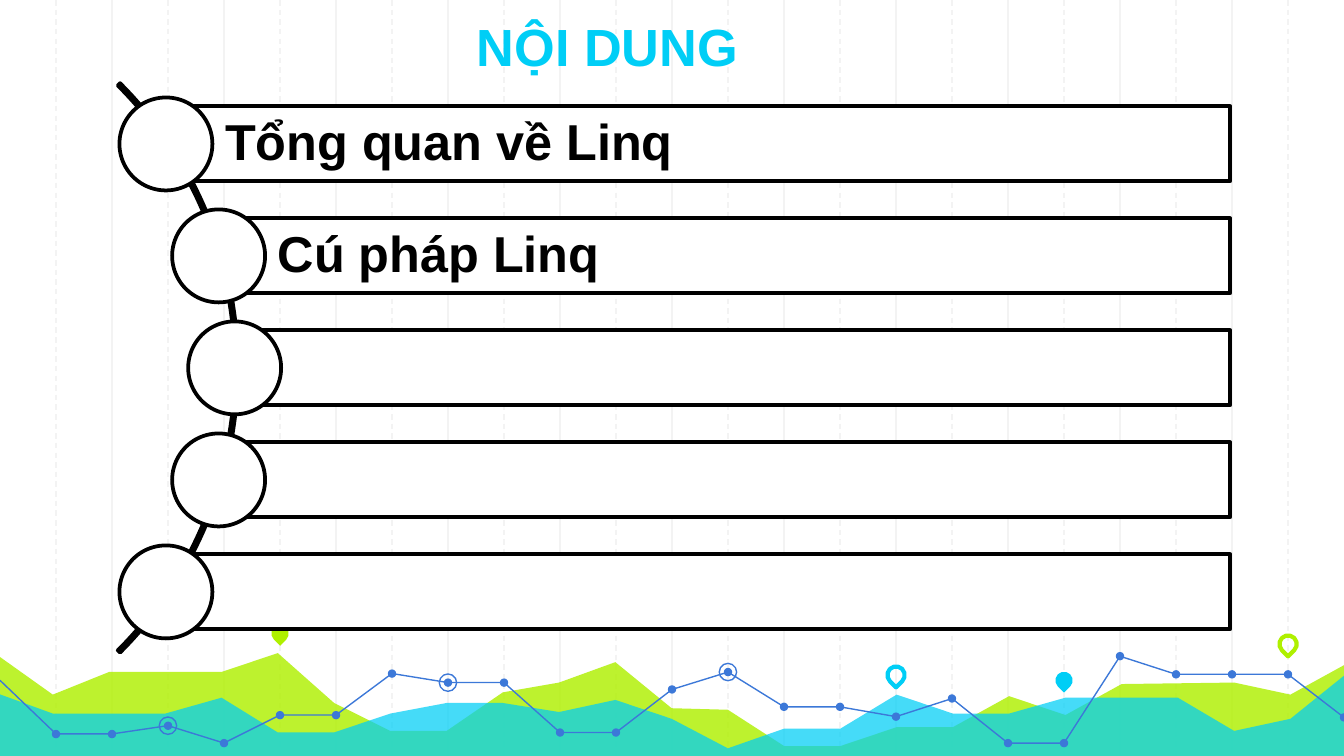
from dataclasses import dataclass
from math import sqrt

from pptx import Presentation
from pptx.dml.color import RGBColor
from pptx.enum.dml import MSO_LINE
from pptx.enum.shapes import MSO_CONNECTOR, MSO_SHAPE
from pptx.enum.text import MSO_ANCHOR, PP_ALIGN
from pptx.oxml.ns import qn
from pptx.util import Inches, Pt
from lxml.etree import SubElement

COLUMNS = 24
SLIDE_WIDTH = 10
CELL = SLIDE_WIDTH / COLUMNS
ROWS = COLUMNS * 9 / 16


@dataclass(frozen=True)
class Theme:
    font: str = "Arial"
    title_size: float = 28
    item_size: float = 27
    thin: float = 0.75
    outline: float = 2
    pin_outline: float = 2.25
    white: str = "FFFFFF"
    black: str = "000000"
    grid: str = "F3F3F3"
    lime: str = "AFF000"
    cyan: str = "00CEF6"
    blue: str = "3C78D8"


@dataclass(frozen=True)
class Box:
    left: float
    top: float
    width: float
    height: float

    def across(self, column):
        return self.left + self.width * column / COLUMNS

    def down(self, percent):
        return self.top + self.height * percent / 100


THEME = Theme()

LIME_LEVELS = [86.6, 91.9, 88.9, 88.9, 88.9, 86.4, 93, 96.7, 96.7, 91.6, 90.3, 87.6, 93.7,
               93.9, 98.7, 98.7, 96.2, 96.2, 92.1, 94.6, 90.5, 90.4, 90.3, 91.9, 87.8]
CYAN_LEVELS = [91.7, 94.4, 94.4, 94.4, 92.3, 96.9, 96.9, 94.4, 93, 93, 94.2, 92.6, 95.1,
               99, 96.4, 96.4, 91.9, 94.4, 94.4, 92.3, 92.3, 92.3, 96.7, 95.1, 89.1]
TREND_LEVELS = [90, 97.1, 97.1, 96, 98.3, 94.6, 94.6, 89.1, 90.3, 90.3, 96.9, 96.9, 91.2,
                88.9, 93.5, 93.5, 94.8, 92.4, 98.3, 98.3, 86.8, 89.2, 89.2, 89.2, 94.9]
TREND_BREAKS = [0, 11, 20, 24]
RING_COLUMNS = [8, 3, 13]
PINS = [(5, 83.8, THEME.lime, True), (16, 89.3, THEME.cyan, False),
        (19, 90, THEME.cyan, True), (23, 85.2, THEME.lime, False)]
ITEMS = ["Tổng quan về Linq", "Cú pháp Linq", "", "", ""]


def cells(count):
    return Inches(count * CELL)


def color(value):
    return RGBColor.from_string(value)


def style(shape, fill=None, line=None, line_width=THEME.outline, opacity=None):
    shape.shadow.inherit = False
    if fill:
        shape.fill.solid()
        shape.fill.fore_color.rgb = color(fill)
        if opacity:
            solid_color = shape.fill._xPr.find(qn("a:solidFill"))[0]
            SubElement(solid_color, qn("a:alpha")).set("val", str(opacity * 1000))
    else:
        shape.fill.background()
    if line:
        shape.line.color.rgb = color(line)
        shape.line.width = Pt(line_width)
    else:
        shape.line.fill.background()


def add_centered(slide, kind, x, y, size, **look):
    shape = slide.shapes.add_shape(kind, cells(x - size / 2), cells(y - size / 2),
                                   cells(size), cells(size))
    style(shape, **look)
    return shape


def add_outline(slide, points, close, **look):
    corners = [(cells(x), cells(y)) for x, y in points]
    builder = slide.shapes.build_freeform(*corners[0], scale=1.0)
    builder.add_line_segments(corners[1:], close=close)
    style(builder.convert_to_shape(), **look)


def write_text(shape, text, size, text_color, anchor):
    frame = shape.text_frame
    frame.text = text
    frame.word_wrap = True
    frame.vertical_anchor = anchor
    paragraph = frame.paragraphs[0]
    paragraph.alignment = PP_ALIGN.LEFT
    for run in paragraph.runs:
        run.font.name = THEME.font
        run.font.size = Pt(size)
        run.font.bold = True
        run.font.color.rgb = color(text_color)
    return frame


def draw_grid(slide, box):
    for first, dash in ((2, MSO_LINE.SOLID), (1, MSO_LINE.DASH)):
        for column in range(first, COLUMNS, 2):
            x = cells(box.across(column))
            line = slide.shapes.add_connector(MSO_CONNECTOR.STRAIGHT, x, cells(box.top),
                                              x, cells(box.down(100)))
            line.line.color.rgb = color(THEME.grid)
            line.line.width = Pt(THEME.thin)
            line.line.dash_style = dash
            SubElement(line._element.spPr, qn("a:effectLst"))


def draw_landscape(slide, box):
    for levels, fill, opacity in ((LIME_LEVELS, THEME.lime, 82), (CYAN_LEVELS, THEME.cyan, 73)):
        ridge = [(box.across(column), box.down(level)) for column, level in enumerate(levels)]
        base = [(box.across(COLUMNS), box.down(100.4)), (box.left, box.down(100.4))]
        add_outline(slide, ridge + base, True, fill=fill, opacity=opacity)


def draw_pins(slide, box):
    for column, level, tint, filled in PINS:
        look = {"fill": tint} if filled else {"line": tint, "line_width": THEME.pin_outline}
        pin = add_centered(slide, MSO_SHAPE.TEAR, box.across(column), box.down(level), 0.31, **look)
        pin.rotation = 135


def draw_trend(slide, box):
    points = [(box.across(column), box.down(level)) for column, level in enumerate(TREND_LEVELS)]
    for start, end in zip(TREND_BREAKS, TREND_BREAKS[1:]):
        add_outline(slide, points[start:end + 1], False, line=THEME.blue, line_width=THEME.thin)
    for x, y in points[1:]:
        add_centered(slide, MSO_SHAPE.OVAL, x, y, 0.15, fill=THEME.blue)
    for column in RING_COLUMNS:
        add_centered(slide, MSO_SHAPE.OVAL, *points[column], 0.31,
                     line=THEME.blue, line_width=THEME.thin)


def draw_title(slide, box, text):
    title = slide.shapes.add_textbox(cells(box.left), cells(box.top),
                                     cells(box.width), cells(box.height))
    frame = write_text(title, text, THEME.title_size, THEME.cyan, MSO_ANCHOR.BOTTOM)
    frame.margin_left = frame.margin_right = frame.margin_top = frame.margin_bottom = Inches(0.1)


def draw_agenda(slide, box, items):
    center_x, center_y = -2.94, box.down(50)
    node_radius, bar_height, node_size = 7.13, 1.34, 1.66
    pitch = box.height / len(items)
    arc = add_centered(slide, MSO_SHAPE.BLOCK_ARC, center_x, center_y, 14.38, line=THEME.black)
    for index, value in enumerate((189, 27, 0.004)):
        arc.adjustments[index] = value
    look = {"fill": THEME.white, "line": THEME.black}
    for index, item in enumerate(items):
        y = box.top + pitch * (index + 0.5)
        x = center_x + sqrt(node_radius ** 2 - (y - center_y) ** 2)
        bar = slide.shapes.add_shape(MSO_SHAPE.RECTANGLE, cells(x), cells(y - bar_height / 2),
                                     cells(box.across(COLUMNS) - x), cells(bar_height))
        style(bar, **look)
        if item:
            frame = write_text(bar, item, THEME.item_size, THEME.black, MSO_ANCHOR.MIDDLE)
            frame.margin_left = Inches(0.44)
            frame.margin_right = frame.margin_top = frame.margin_bottom = Inches(0.07)
            frame.paragraphs[0].line_spacing = 0.9
        add_centered(slide, MSO_SHAPE.OVAL, x, y, node_size, **look)


def main():
    presentation = Presentation()
    presentation.slide_width = cells(COLUMNS)
    presentation.slide_height = cells(ROWS)
    slide = presentation.slides.add_slide(presentation.slide_layouts[6])
    slide.background.fill.solid()
    slide.background.fill.fore_color.rgb = color(THEME.white)
    page = Box(0, 0, COLUMNS, ROWS)
    draw_grid(slide, page)
    draw_landscape(slide, Box(-0.06, 0, COLUMNS + 0.11, ROWS))
    draw_pins(slide, page)
    draw_trend(slide, page)
    draw_title(slide, Box(8.28, -0.26, 5.98, 1.87), "NỘI DUNG")
    draw_agenda(slide, Box(2.12, 1.57, 19.85, 10), ITEMS)
    presentation.save("out.pptx")


if __name__ == "__main__":
    main()
